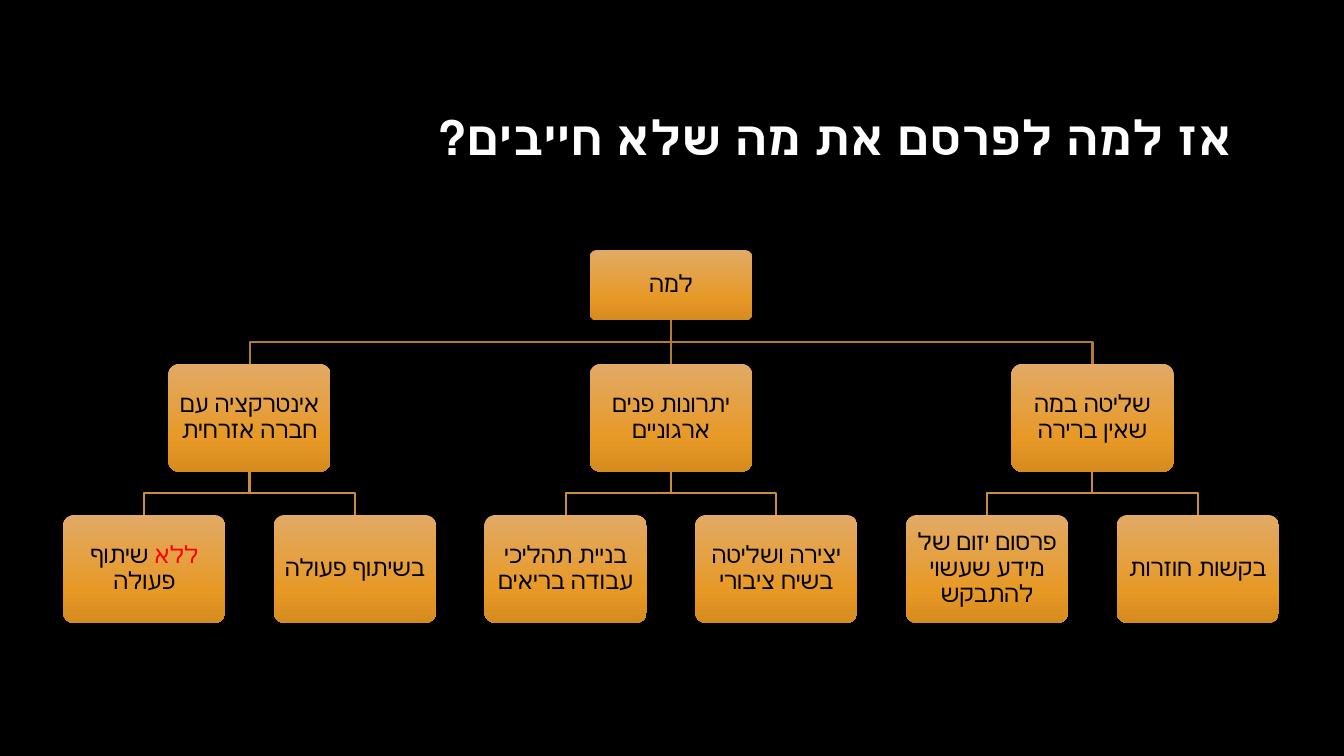
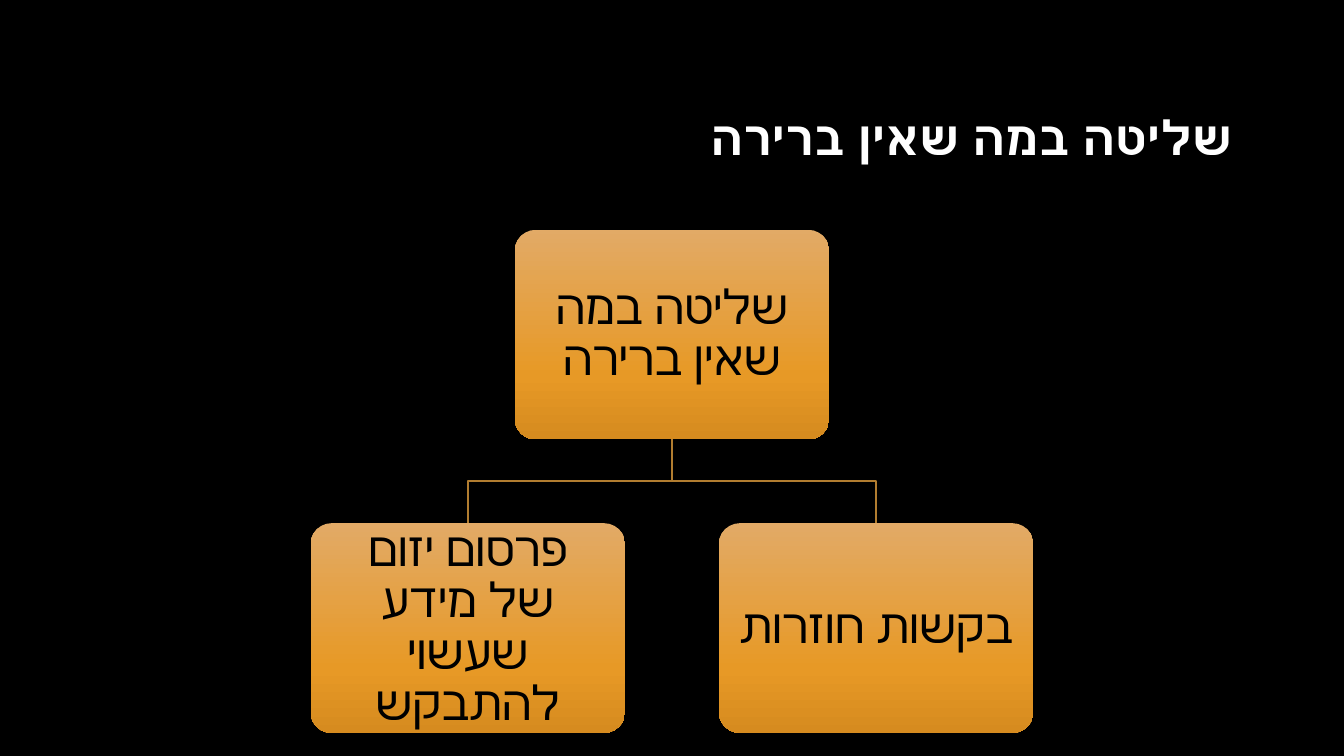
from copy import deepcopy

from lxml import etree
from pptx import Presentation
from pptx.dml.color import RGBColor
from pptx.enum.shapes import MSO_CONNECTOR, MSO_SHAPE
from pptx.enum.text import MSO_ANCHOR, PP_ALIGN
from pptx.oxml.ns import qn
from pptx.util import Inches, Pt

COLORS = {
    "background": "000000",
    "title": "FFFFFF",
    "text": "000000",
    "accent": "FF0000",
    "box_top": "E2AA66",
    "box_middle": "E79926",
    "box_bottom": "D68B1F",
    "line_1": "B27D30",
    "line_2": "C98E36",
}
BOX_STOPS = [("box_top", 0), ("box_middle", 0.69), ("box_bottom", 1)]
FONT = "TeX Gyre Bonum"


def rgb(name):
    return RGBColor.from_string(COLORS[name])


class Deck:
    def __init__(self):
        self.prs = Presentation()
        self.prs.slide_width, self.prs.slide_height = Inches(13.33), Inches(7.5)
        self.slide = None

    def add_slide(self, title):
        self.slide = self.prs.slides.add_slide(self.prs.slide_layouts[6])
        fill = self.slide.background.fill
        fill.solid()
        fill.fore_color.rgb = rgb("background")
        sp = self.slide.shapes.add_textbox(Inches(1), Inches(0.66), Inches(11.32), Inches(1.45))
        p = self.text(sp.text_frame, [(title, None)], 34, "title", PP_ALIGN.RIGHT, 0.1)
        p.font.bold = True
        p._p.get_or_add_pPr().set("rtl", "1")

    def text(self, tf, runs, size, color, align, inset):
        tf.word_wrap = True
        tf.vertical_anchor = MSO_ANCHOR.MIDDLE
        tf.margin_left = tf.margin_right = Inches(inset)
        tf.margin_top = tf.margin_bottom = Inches(inset / 2)
        p = tf.paragraphs[0]
        p.alignment = align
        p.line_spacing = 0.9
        p.font.name = FONT
        p.font.size = Pt(size)
        p.font.color.rgb = rgb(color)
        for content, run_color in runs:
            r = p.add_run()
            r.text = content
            if run_color:
                r.font.color.rgb = rgb(run_color)
        return p

    def box(self, x, y, w, h, runs, size, inset):
        sp = self.slide.shapes.add_shape(
            MSO_SHAPE.ROUNDED_RECTANGLE, Inches(x), Inches(y), Inches(w), Inches(h))
        sp.adjustments[0] = 0.1
        sp.shadow.inherit = False
        sp.line.fill.background()
        sp.fill.gradient()
        sp.fill.gradient_angle = 270
        stops = sp._element.spPr.find(qn("a:gradFill")).find(qn("a:gsLst"))
        stops.append(deepcopy(stops[-1]))
        for stop, (color, position) in zip(sp.fill.gradient_stops, BOX_STOPS):
            stop.color.rgb = rgb(color)
            stop.position = position
        self.text(sp.text_frame, runs, size, "text", PP_ALIGN.CENTER, inset)

    def branch(self, x1, y1, x2, y2, color):
        x1, x2, y1, y2 = (Inches(v) for v in (x1, x2, y1, y2))
        if x1 == x2:
            sp = self.slide.shapes.add_connector(MSO_CONNECTOR.STRAIGHT, x1, y1, x2, y2)
            etree.SubElement(sp._element.spPr, qn("a:effectLst"))
        else:
            middle = (y1 + y2) // 2
            builder = self.slide.shapes.build_freeform(x1, y1)
            builder.add_line_segments([(x1, middle), (x2, middle), (x2, y2)], close=False)
            sp = builder.convert_to_shape()
            sp.fill.background()
            sp.shadow.inherit = False
        sp.line.color.rgb = rgb(color)
        sp.line.width = Pt(1.5)

    def tree(self, root, right, pitch, width, levels, size, inset):
        leaves = 0

        def place(node, depth):
            nonlocal leaves
            label, children = node
            top, height = levels[depth]
            centers = [place(child, depth + 1) for child in children]
            if centers:
                center = round((centers[0] + centers[-1]) / 2, 3)
            else:
                center = right - leaves * pitch
                leaves += 1
            for x in centers:
                self.branch(center, top + height, x, levels[depth + 1][0], f"line_{depth + 1}")
            runs = [(label, None)] if isinstance(label, str) else label
            self.box(center - width / 2, top, width, height, runs, size, inset)
            return center

        place(root, 0)


def main():
    control = ("שליטה במה שאין ברירה", [
        ("בקשות חוזרות", []),
        ("פרסום יזום של מידע שעשוי להתבקש", []),
    ])
    internal = ("יתרונות פנים ארגוניים", [
        ("יצירה ושליטה בשיח ציבורי", []),
        ("בניית תהליכי עבודה בריאים", []),
    ])
    civil = ("אינטרקציה עם חברה אזרחית", [
        ("בשיתוף פעולה", []),
        ([("ללא", "accent"), (" שיתוף פעולה", None)], []),
    ])

    deck = Deck()
    deck.add_slide("אז למה לפרסם את מה שלא חייבים?")
    deck.tree(("למה", [control, internal, civil]), right=11.88, pitch=2.09, width=1.61,
              levels=[(2.48, 0.7), (3.61, 1.07), (5.11, 1.07)], size=17, inset=0.07)

    deck.add_slide(control[0])
    deck.tree(control, right=8.69, pitch=4.05, width=3.12,
              levels=[(2.28, 2.08), (5.19, 2.08)], size=34, inset=0.14)
    deck.prs.save("out.pptx")


if __name__ == "__main__":
    main()
